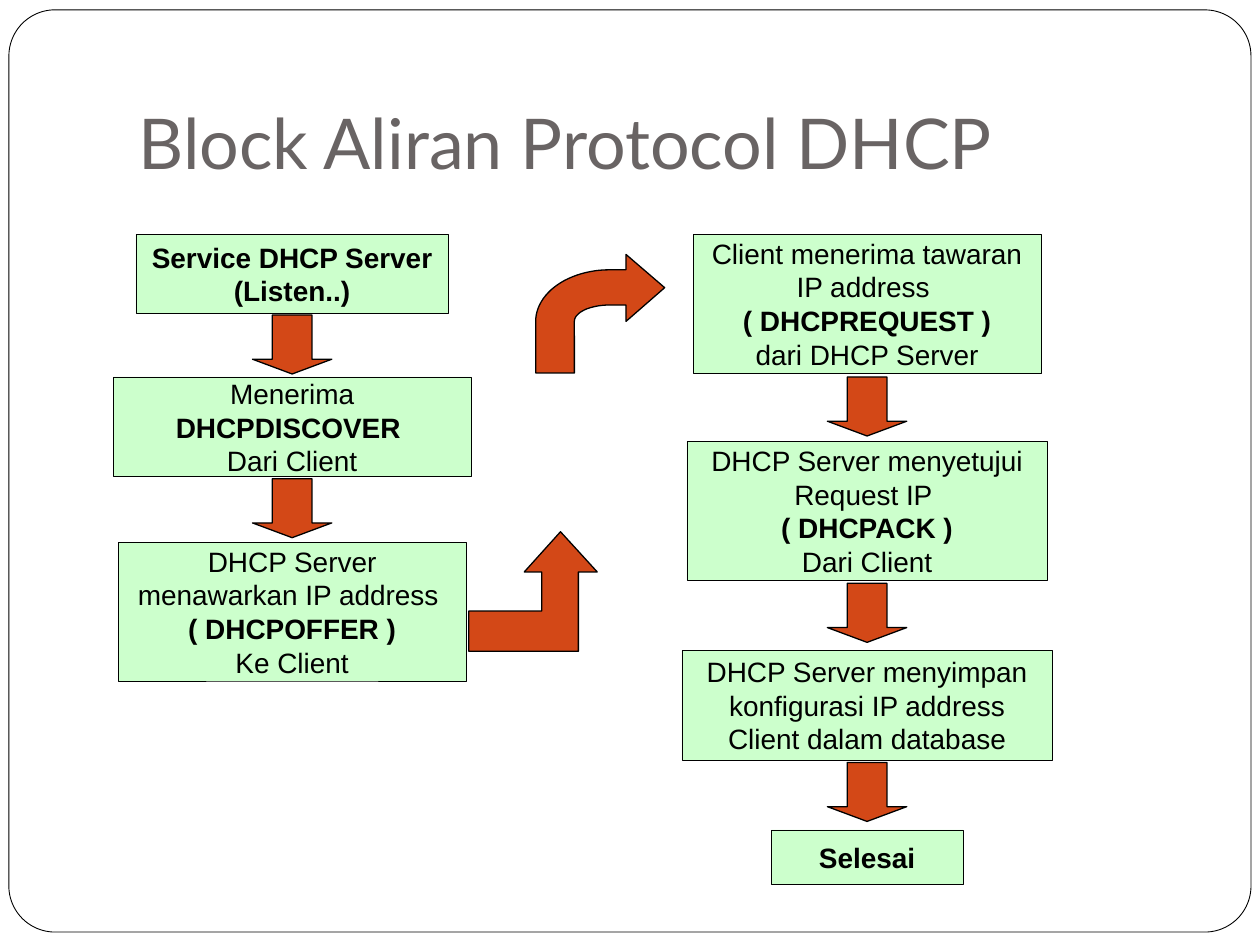
from dataclasses import dataclass
from math import cos, pi, sin

from pptx import Presentation
from pptx.dml.color import RGBColor
from pptx.enum.shapes import MSO_SHAPE
from pptx.enum.text import MSO_ANCHOR, PP_ALIGN
from pptx.util import Cm, Pt


@dataclass(frozen=True)
class Theme:
    """Colours, fonts and type sizes of the slide."""
    paper: RGBColor = RGBColor(0xFF, 0xFF, 0xFF)
    ink: RGBColor = RGBColor(0, 0, 0)
    title: RGBColor = RGBColor(0x69, 0x64, 0x64)
    box: RGBColor = RGBColor(0xCC, 0xFF, 0xCC)
    arrow: RGBColor = RGBColor(0xD3, 0x48, 0x17)
    title_font: str = "Lato"
    body_font: str = "Arial"
    title_size: Pt = Pt(40)
    body_size: Pt = Pt(16)


@dataclass(frozen=True)
class Step:
    """A box of the flow; each line is a list of (text, bold) runs."""
    center: float
    top: float
    width: float
    height: float
    lines: list


T = Theme()
LEFT, RIGHT = 5.89, 17.48
ARROW_W, ARROW_H = 1.6, 1.19

STEPS = [
    Step(LEFT, 4.72, 6.3, 1.6, [[("Service DHCP Server", True)], [("(Listen..)", True)]]),
    Step(LEFT, 7.6, 7.21, 2.01,
         [[("Menerima ", False), ("DHCPDISCOVER ", True)], [("Dari Client", False)]]),
    Step(LEFT, 10.93, 7.01, 2.8,
         [[("DHCP Server menawarkan IP address ", False)],
          [("( DHCPOFFER )", True)], [("Ke Client", False)]]),
    Step(RIGHT, 4.72, 7.01, 2.8,
         [[("Client menerima tawaran IP address ", False)],
          [("( DHCPREQUEST )", True)], [("dari DHCP Server", False)]]),
    Step(RIGHT, 8.9, 7.26, 2.8,
         [[("DHCP Server menyetujui Request IP ", False)],
          [("( DHCPACK )", True)], [("Dari Client", False)]]),
    Step(RIGHT, 13.11, 7.47, 2.21,
         [[("DHCP Server menyimpan konfigurasi IP address Client dalam database", False)]]),
    Step(RIGHT, 16.73, 3.86, 1.09, [[("Selesai", True)]]),
]
DOWN_ARROWS = [(LEFT, 6.35), (LEFT, 9.65), (RIGHT, 7.6), (RIGHT, 11.76), (RIGHT, 15.37)]


def style(sp, fill: RGBColor, weight: float) -> None:
    """Give a shape a flat fill and a thin black outline."""
    sp.shadow.inherit = False
    sp.fill.solid()
    sp.fill.fore_color.rgb = fill
    sp.line.color.rgb = T.ink
    sp.line.width = Pt(weight)


def add_frame(s) -> None:
    """Put the rounded page border behind everything else."""
    sp = s.shapes.add_shape(MSO_SHAPE.ROUNDED_RECTANGLE, Cm(0.18), Cm(0.2), Cm(25.04), Cm(18.59))
    sp.adjustments[0] = 0.05
    style(sp, T.paper, 0.5)
    sp._element.getparent().insert(2, sp._element)


def add_title(s, text: str) -> None:
    """Fill and place the title placeholder."""
    sp = s.shapes.title
    sp.left, sp.top, sp.width, sp.height = Cm(2.54), Cm(0.76), Cm(21.59), Cm(3.18)
    tf = sp.text_frame
    tf.text = text
    tf.vertical_anchor = MSO_ANCHOR.BOTTOM
    tf.margin_bottom = Cm(0.25)
    p = tf.paragraphs[0]
    p.alignment = PP_ALIGN.LEFT
    p.font.name, p.font.size = T.title_font, T.title_size
    p.font.color.rgb = T.title


def add_step(s, step: Step) -> None:
    """Draw one box of the flow with its centred text."""
    sp = s.shapes.add_shape(MSO_SHAPE.RECTANGLE, Cm(step.center - step.width / 2), Cm(step.top),
                            Cm(step.width), Cm(step.height))
    style(sp, T.box, 0.25)
    tf = sp.text_frame
    tf.word_wrap = True
    tf.vertical_anchor = MSO_ANCHOR.MIDDLE
    for i, line in enumerate(step.lines):
        p = tf.add_paragraph() if i else tf.paragraphs[0]
        p.alignment = PP_ALIGN.CENTER
        p.font.name, p.font.size = T.body_font, T.body_size
        p.font.color.rgb = T.ink
        for text, bold in line:
            r = p.add_run()
            r.text = text
            r.font.bold = bold


def add_down_arrow(s, center: float, top: float) -> None:
    """Draw a block arrow pointing down."""
    sp = s.shapes.add_shape(MSO_SHAPE.DOWN_ARROW, Cm(center - ARROW_W / 2), Cm(top),
                            Cm(ARROW_W), Cm(ARROW_H))
    sp.adjustments[0], sp.adjustments[1] = 0.5, 0.25
    style(sp, T.arrow, 0.75)


def add_outline_arrow(s, points: list[tuple[float, float]]) -> None:
    """Draw a closed arrow outline through points in centimetres."""
    start, *rest = [(Cm(x), Cm(y)) for x, y in points]
    fb = s.shapes.build_freeform(*start)
    fb.add_line_segments(rest, close=True)
    style(fb.convert_to_shape(), T.arrow, 0.75)


def quarter(cx: float, cy: float, rx: float, ry: float, n: int = 24) -> list[tuple[float, float]]:
    """Points of a quarter ellipse from its top to its left end."""
    angles = [pi / 2 * i / n for i in range(n + 1)]
    return [(cx - rx * sin(a), cy - ry * cos(a)) for a in angles]


def main() -> None:
    """Build the slide and save it."""
    prs = Presentation()
    prs.slide_width, prs.slide_height = Cm(25.4), Cm(19.05)
    s = prs.slides.add_slide(prs.slide_layouts[5])
    add_frame(s)
    add_title(s, "Block Aliran Protocol DHCP")
    for step in STEPS:
        add_step(s, step)
    for center, top in DOWN_ARROWS:
        add_down_arrow(s, center, top)
    add_outline_arrow(s, [(11.3, 10.72), (10.57, 11.53), (10.92, 11.53), (10.92, 12.32),
                          (9.45, 12.32), (9.45, 13.13), (11.66, 13.13), (11.66, 11.53),
                          (12.04, 11.53)])
    outer = quarter(12.29, 6.48, 1.49, 1.04)
    inner = quarter(12.29, 6.48, 0.71, 0.33)
    add_outline_arrow(s, [(13.4, 5.8), (12.62, 5.13), (12.62, 5.44), *outer, (10.8, 7.52),
                          (11.58, 7.52), *reversed(inner), (12.62, 6.15), (12.62, 6.48)])
    prs.save("out.pptx")


if __name__ == "__main__":
    main()
